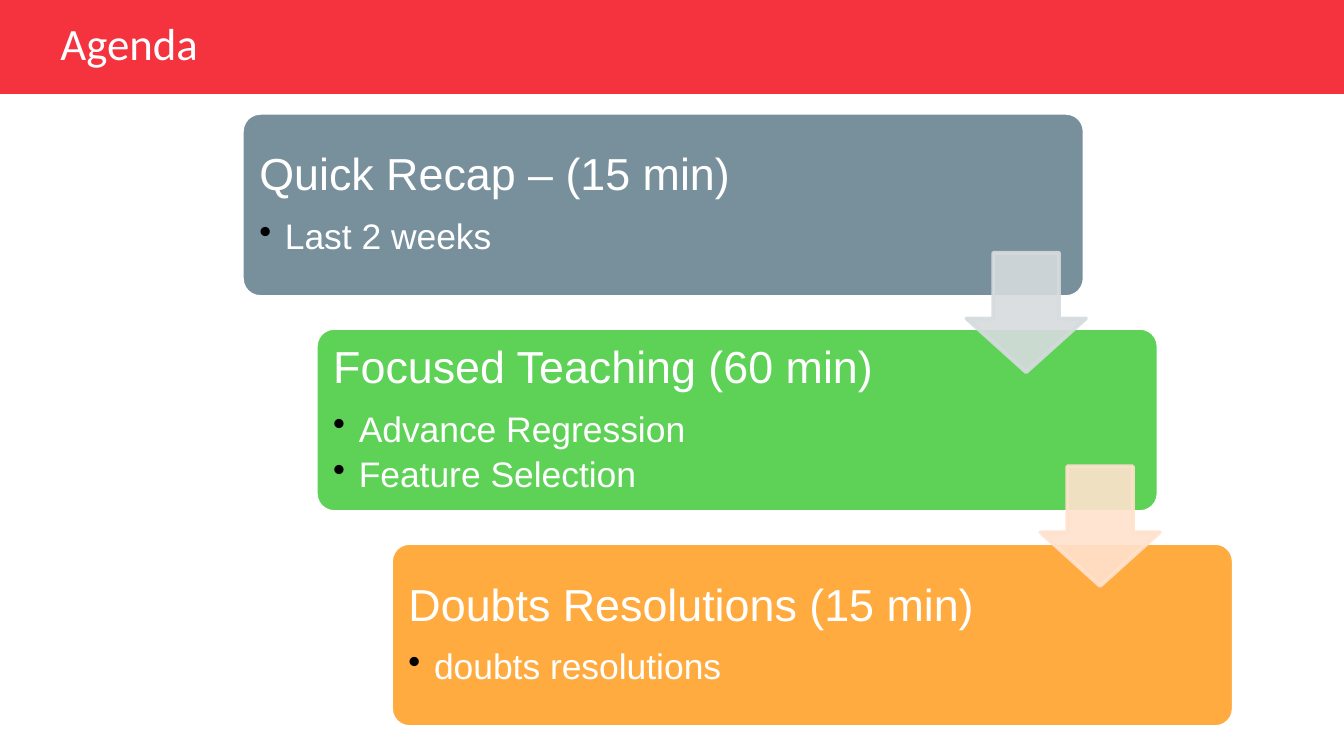
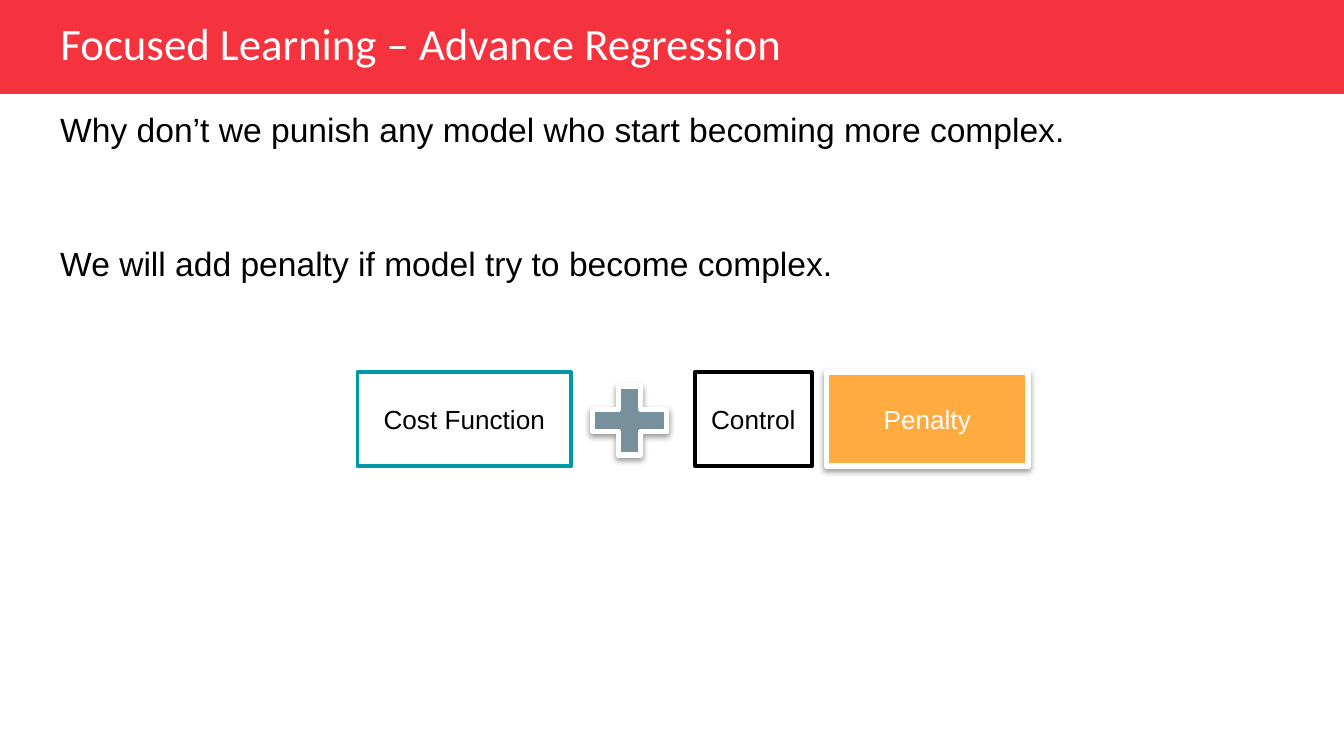
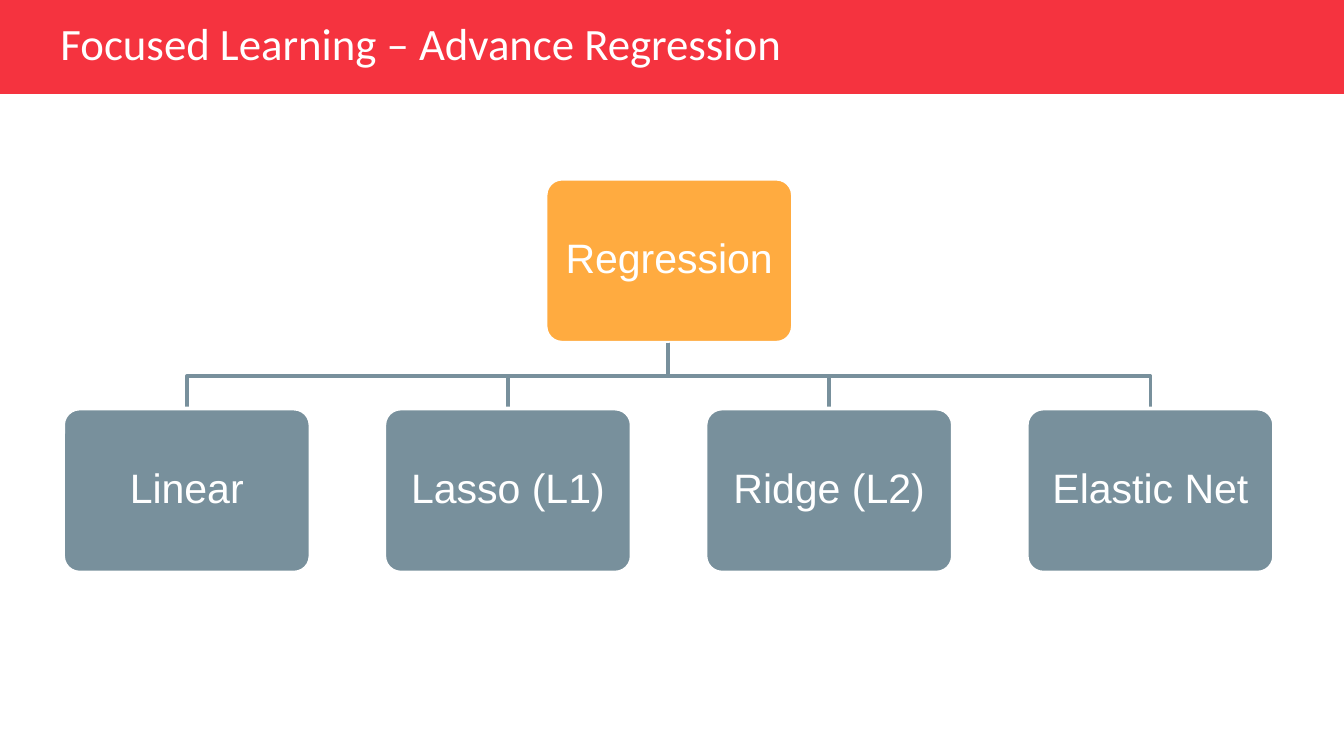
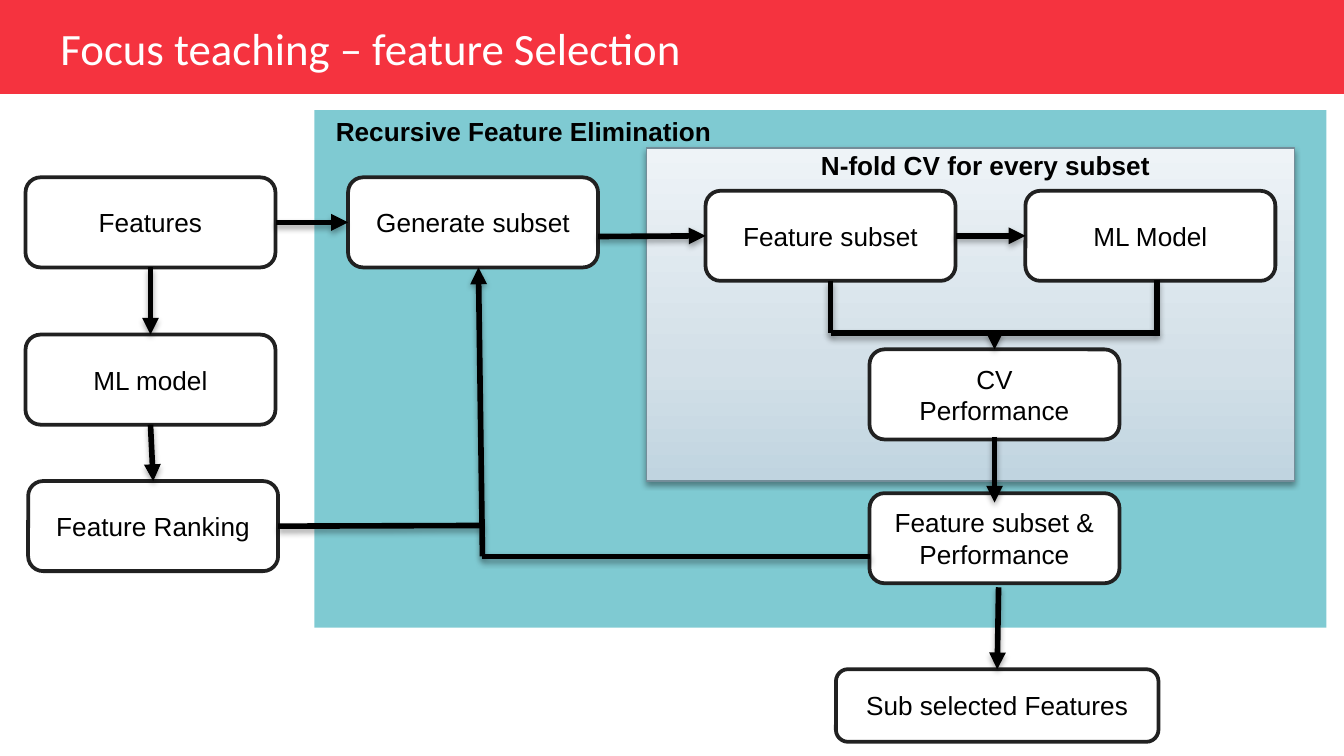
from dataclasses import dataclass

from lxml import etree
from pptx import Presentation
from pptx import util as u
from pptx.dml.color import RGBColor
from pptx.enum import shapes, text
from pptx.oxml.ns import qn

PX = 9144  # EMU per px, 100 px to the inch
MSO = shapes.MSO_SHAPE
TOP, LEFT, BOTTOM, RIGHT = range(4)


@dataclass(frozen=True)
class Theme:
    # colours
    red: str = "F5333F"
    slate: str = "78909C"
    green: str = "5ED257"
    orange: str = "FFAB40"
    teal: str = "0097A7"
    pale_slate: str = "D6DBDE"
    pale_orange: str = "FFE2CE"
    panel_edge: str = "748D99"
    panel_stops: tuple = ((0, "C0D4E0"), (35, "D3E0E8"), (100, "EEF3F7"))
    ink: str = "212121"
    black: str = "000000"
    white: str = "FFFFFF"
    # fonts and sizes
    title_font: str = "Calibri"
    body_font: str = "Arial"
    title: int = 24
    node: int = 22
    bullet: int = 19
    body: int = 18
    label: int = 14


T = Theme()


def rgb(value):
    return RGBColor.from_string(value)


def sub(parent, tag, **attrs):
    child = etree.SubElement(parent, qn(tag))
    for name, value in attrs.items():
        child.set(name, str(value))
    return child


def sp_pr(sp):
    return sp.element.find(qn("p:spPr"))


def side(sp, site):
    """Middle of one side of a shape, in EMU."""
    return {
        TOP: (sp.left + sp.width // 2, sp.top),
        LEFT: (sp.left, sp.top + sp.height // 2),
        BOTTOM: (sp.left + sp.width // 2, sp.top + sp.height),
        RIGHT: (sp.left + sp.width, sp.top + sp.height // 2),
    }[site]


class Deck:
    def __init__(self):
        self.prs = Presentation()
        self.prs.slide_width, self.prs.slide_height = 1000 * PX, 5143500
        self.layout = self.prs.slide_layouts[5]
        self.s = None

    def slide(self, title, width, height=42):
        first = self.s is None
        self.s = self.prs.slides.add_slide(self.layout)
        if first:  # the band belongs to the layout, behind everything
            band = self.shape(MSO.RECTANGLE, 0, 0, 1000, 70, T.red)
            self.layout.element.cSld.spTree.insert(2, band.element)
        sp = self.s.shapes.title
        sp.left, sp.top, sp.width, sp.height = (v * PX for v in (35, 13, width, height))
        tf = sp.text_frame
        self.set_text(tf, title, T.title, T.white, font=T.title_font)
        tf.auto_size = text.MSO_AUTO_SIZE.NONE
        tf.vertical_anchor = text.MSO_ANCHOR.MIDDLE
        tf.paragraphs[0].line_spacing = 0.9

    def set_text(self, tf, words, size, color, bold=False, center=False, font=T.body_font):
        tf.text = words
        tf.word_wrap = True
        for p in tf.paragraphs:
            p.alignment = text.PP_ALIGN.CENTER if center else text.PP_ALIGN.LEFT
            for r in p.runs:
                r.font.name, r.font.size, r.font.bold = font, u.Pt(size), bold
                r.font.color.rgb = rgb(color)

    def shadow(self, effects, alpha, dist):
        outer = sub(effects, "a:outerShdw", blurRad=40000, dist=dist, dir=5400000, rotWithShape=0)
        sub(sub(outer, "a:srgbClr", val=T.black), "a:alpha", val=alpha * 1000)

    def finish(self, sp, fill=None, line=None, line_width=2, alpha=100, shadow=False):
        sp.shadow.inherit = False
        if fill:
            sp.fill.solid()
            sp.fill.fore_color.rgb = rgb(fill)
        else:
            sp.fill.background()
        if line:
            sp.line.color.rgb = rgb(line)
            sp.line.width = u.Pt(line_width)
        else:
            sp.line.fill.background()
        if alpha < 100:
            for clr in sp_pr(sp).iter(qn("a:srgbClr")):
                sub(clr, "a:alpha", val=alpha * 1000)
        if shadow:
            self.shadow(sp_pr(sp).find(qn("a:effectLst")), 38, 20000)
        return sp

    def shape(self, kind, x, y, w, h, fill, line=None, adj=(), **look):
        sp = self.s.shapes.add_shape(kind, x * PX, y * PX, w * PX, h * PX)
        for i, value in enumerate(adj):
            sp.adjustments[i] = value
        return self.finish(sp, fill, line, **look)

    def box(self, words, x, y, w, h, fill=T.white, line=T.ink, color=T.black,
            size=T.label, kind=MSO.ROUNDED_RECTANGLE, **look):
        sp = self.shape(kind, x, y, w, h, fill, line, **look)
        sp.text_frame.vertical_anchor = text.MSO_ANCHOR.MIDDLE
        self.set_text(sp.text_frame, words, size, color, center=True)
        return sp

    def card(self, heading, bullets, x, y, fill):
        sp = self.shape(MSO.ROUNDED_RECTANGLE, x, y, 627, 137, fill, T.white, adj=[0.1])
        tf = sp.text_frame
        tf.vertical_anchor = text.MSO_ANCHOR.MIDDLE
        tf.margin_left = tf.margin_right = tf.margin_top = tf.margin_bottom = 9 * PX
        self.set_text(tf, "\n".join([heading, *bullets]), T.bullet, T.white)
        head, *items = tf.paragraphs
        head.line_spacing, head.space_after = 0.9, u.Pt(10)
        head.runs[0].font.size = u.Pt(T.title)
        for p in items:
            p.level, p.line_spacing, p.space_after = 1, 0.9, u.Pt(4)
            ppr = p._p.get_or_add_pPr()
            ppr.set("marL", str(19 * PX))
            ppr.set("indent", str(-19 * PX))
            sub(sub(ppr, "a:buClr"), "a:srgbClr", val=T.black)
            sub(ppr, "a:buChar", char="•")

    def node(self, words, x, y, fill):
        sp = self.box(words, x, y, 184, 122, fill, T.white, T.white, T.node, adj=[0.1])
        sp.text_frame.paragraphs[0].line_spacing = 0.9

    def text(self, words, x, y, w, h, size, bold=False):
        sp = self.s.shapes.add_textbox(x * PX, y * PX, w * PX, h * PX)
        self.set_text(sp.text_frame, words, size, T.black, bold)
        sp.text_frame.auto_size = text.MSO_AUTO_SIZE.SHAPE_TO_FIT_TEXT

    def polyline(self, points, color):
        fb = self.s.shapes.build_freeform(*points[0], scale=PX)
        fb.add_line_segments(points[1:], close=False)
        self.finish(fb.convert_to_shape(), line=color)

    def gradient(self, sp, stops):
        sp.fill.gradient()
        sp.fill.gradient_angle = 90
        gs_lst = next(sp_pr(sp).iter(qn("a:gsLst")))
        for gs in list(gs_lst):
            gs_lst.remove(gs)
        for pos, color in stops:
            sub(sub(gs_lst, "a:gs", pos=pos * 1000), "a:srgbClr", val=color)

    def link(self, start, end, arrow=True):
        """Line between two ends, each an (x, y) in px or a (shape, side)."""
        ends = [(a * PX, b * PX) if isinstance(a, int) else side(a, b) for a, b in (start, end)]
        cx = self.s.shapes.add_connector(shapes.MSO_CONNECTOR.STRAIGHT, *ends[0], *ends[1])
        for (target, site), join in ((start, cx.begin_connect), (end, cx.end_connect)):
            if not isinstance(target, int):
                join(target, site)
        cx.line.color.rgb = rgb(T.black)
        cx.line.width = u.Pt(3)
        if arrow:
            sub(sp_pr(cx).find(qn("a:ln")), "a:tailEnd", type="triangle")
        self.shadow(sub(sp_pr(cx), "a:effectLst"), 35, 23000)


def agenda(d):
    d.slide("Agenda", 832)
    cards = [
        ("Quick Recap – (15 min)", ["Last 2 weeks"], T.slate),
        ("Focused Teaching (60 min)", ["Advance Regression", "Feature Selection"], T.green),
        ("Doubts Resolutions (15 min)", ["doubts resolutions"], T.orange),
    ]
    for i, (heading, bullets, fill) in enumerate(cards):
        d.card(heading, bullets, 180 + 111 * i // 2, 84 + 160 * i, fill)
    for i, color in enumerate([T.pale_slate, T.pale_orange]):
        d.shape(MSO.DOWN_ARROW, 719 + 55 * i, 188 + 159 * i, 89, 89, color, color,
                adj=[0.55, 0.45], alpha=90)


def penalty(d):
    d.slide("Focused Learning – Advance Regression", 745)
    d.text("Why don’t we punish any model who start becoming more complex.",
           35, 76, 846, 40, T.body)
    d.text("We will add penalty if model try to become complex.", 35, 176, 766, 40, T.body)
    # cost function + control * penalty
    d.box("Cost Function", 266, 277, 159, 70, line=T.teal, kind=MSO.RECTANGLE)
    d.shape(MSO.MATH_PLUS, 431, 278, 75, 70, T.slate, T.white, line_width=3, shadow=True)
    d.box("Penalty", 615, 277, 150, 70, T.orange, T.white, T.white,
          kind=MSO.RECTANGLE, line_width=3, shadow=True)
    d.box("Control", 517, 277, 87, 70, line=T.black, kind=MSO.RECTANGLE)


def regression_tree(d):
    d.slide("Focused Learning – Advance Regression", 745)
    d.node("Regression", 406, 133, T.orange)
    for i, name in enumerate(["Linear", "Lasso (L1)", "Ridge (L2)", "Elastic Net"]):
        x = 47 + 239 * i
        d.polyline([(497, 255), (497, 280), (x + 92, 280), (x + 92, 304)], T.slate)
        d.node(name, x, 304, T.slate)


def feature_selection(d):
    d.slide("Focus teaching – feature Selection", 634, 50)
    # panels
    d.shape(MSO.RECTANGLE, 234, 82, 753, 385, T.teal, alpha=50)
    cv_panel = d.shape(MSO.RECTANGLE, 481, 110, 482, 248, T.white, T.panel_edge,
                       line_width=0.75, shadow=True)
    d.gradient(cv_panel, T.panel_stops)
    # steps
    steps = [
        ("Features", 19, 132), ("ML model", 19, 249), ("Feature Ranking", 21, 358),
        ("Generate subset", 259, 132), ("Feature subset", 525, 142), ("ML Model", 763, 142),
        ("CV\nPerformance", 647, 260), ("Feature subset & Performance", 647, 367),
    ]
    features, model, ranking, generate, subset, cv_model, cv, _ = [
        d.box(words, x, y, 186, 67) for words, x, y in steps]
    selected = d.box("Sub selected Features", 622, 498, 240, 54)
    # arrows
    for start, end in [
        ((features, BOTTOM), (model, TOP)),
        ((model, BOTTOM), (ranking, TOP)),
        ((359, 414), (356, 199)),
        ((features, RIGHT), (generate, LEFT)),
        ((445, 176), (subset, LEFT)),
        ((subset, RIGHT), (cv_model, LEFT)),
        ((743, 437), (selected, TOP)),
        ((740, 325), (740, 374)),
        ((740, 248), (cv, TOP)),
    ]:
        d.link(start, end)
    # plain lines
    for start, end in [
        ((359, 414), (647, 414)),
        ((subset, BOTTOM), (618, 248)),
        ((861, 208), (861, 247)),
        ((618, 248), (863, 248)),
        ((ranking, RIGHT), (359, 391)),
    ]:
        d.link(start, end, arrow=False)
    # panel captions
    d.text("Recursive Feature Elimination", 240, 81, 322, 34, T.label, bold=True)
    d.text("N-fold CV for every subset", 601, 106, 322, 34, T.label, bold=True)


def main():
    d = Deck()
    for build in (agenda, penalty, regression_tree, feature_selection):
        build(d)
    d.prs.save("out.pptx")


if __name__ == "__main__":
    main()
